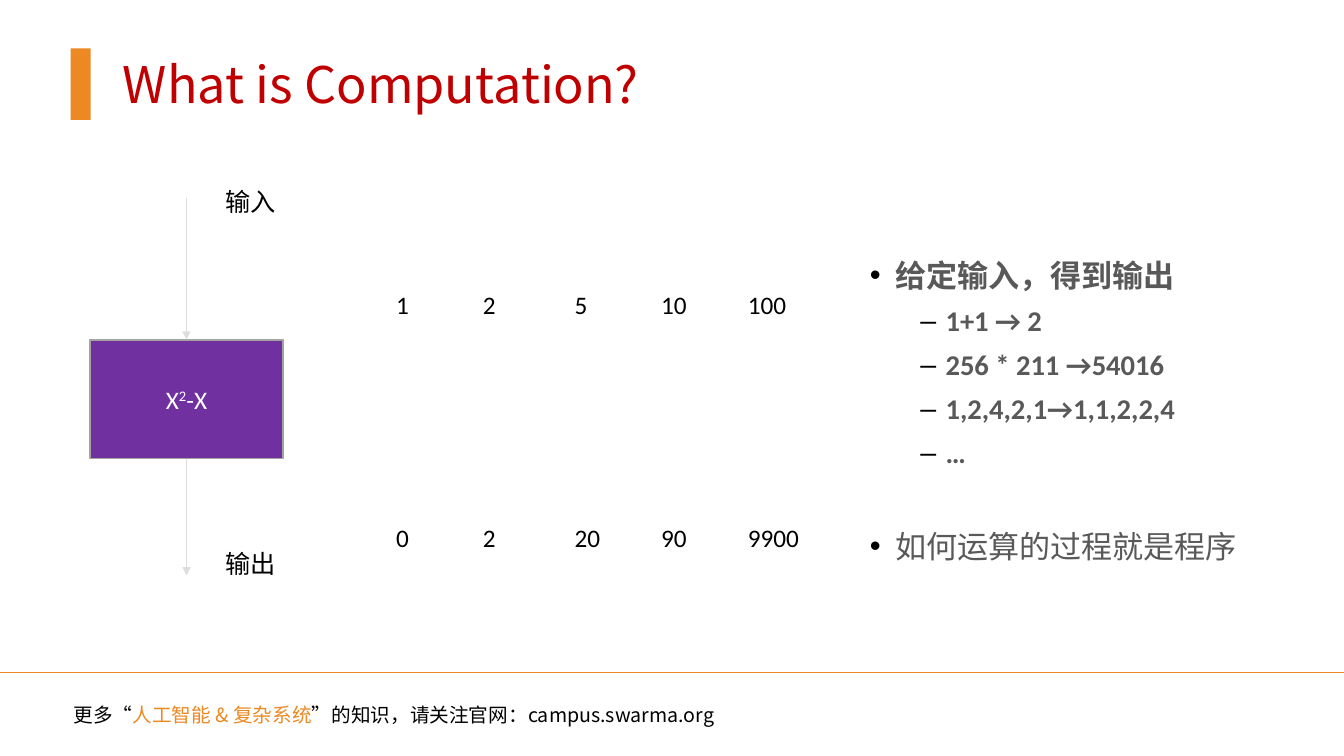
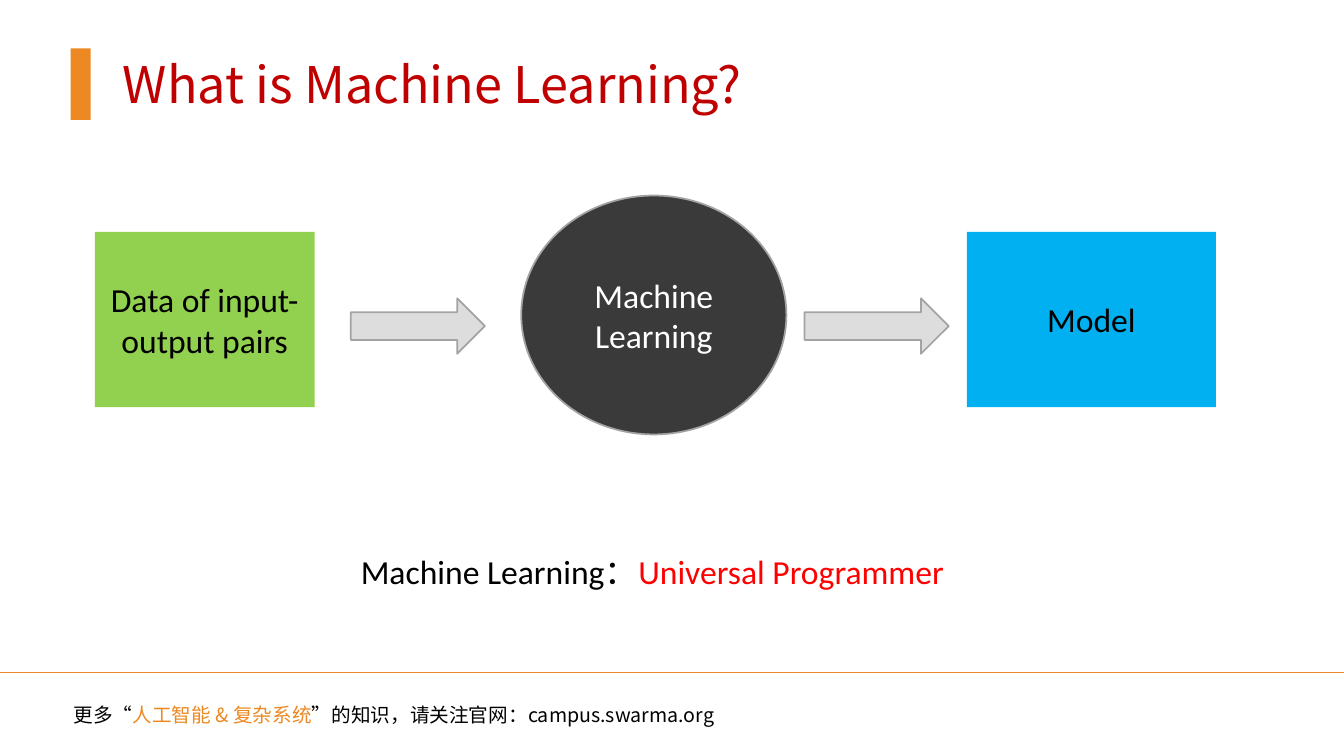
from lxml.etree import SubElement
from pptx import Presentation
from pptx.dml.color import RGBColor
from pptx.enum.shapes import MSO_CONNECTOR, MSO_SHAPE
from pptx.enum.text import MSO_ANCHOR, PP_ALIGN
from pptx.oxml.ns import qn
from pptx.util import Inches, Pt

COLORS = {
    "title": "C00000", "accent": "EC8922", "black": "000000", "white": "FFFFFF",
    "body": "595959", "outline": "A3A3A3", "arrow": "DDDDDD", "program": "7030A0",
    "learner": "3A3A3A", "data": "92D050", "model": "00B0F0", "highlight": "FF0000",
}
BODY_FONT = "Calibri"
CJK_FONT = "Noto Sans CJK SC"
SLIDE_WIDTH, SLIDE_HEIGHT = 13.33, 7.5

FOOTER = [
    ("更多“", "black"),
    ("人工智能 & 复杂系统", "accent"),
    ("”的知识，请关注官网：campus.swarma.org", "black"),
]

COMPUTATION_TITLE = "What is Computation?"
PROGRAM_BOX = (0.89, 3.37, 1.92, 1.18)
FLOW_START, FLOW_END = 1.96, 5.71
FLOW_LABELS = [("输入", 1.8), ("输出", 5.39)]
INPUT_TOP, OUTPUT_TOP = 2.82, 5.13
SAMPLES = [
    (3.83, "1", "0"),
    (4.69, "2", "2"),
    (5.6, "5", "20"),
    (6.46, "10", "90"),
    (7.32, "100", "9900"),
]
POINTS = [
    ("给定输入，得到输出", 0, True, 0),
    ("1+1 → 2", 1, True, 7),
    ("256 * 211 →54016", 1, True, 7),
    ("1,2,4,2,1→1,1,2,2,4", 1, True, 7),
    ("…", 1, True, 7),
    ("如何运算的过程就是程序", 0, False, 41),
]
LEVELS = [("•", 0.25, 22.2), ("–", 0.75, 20.4)]
HANGING = 0.25

LEARNING_TITLE = "What is Machine Learning?"
STAGES = [
    (MSO_SHAPE.OVAL, (5.17, 1.94, 2.63, 2.37), "learner", "outline", "Machine Learning", "white"),
    (MSO_SHAPE.RECTANGLE, (0.94, 2.3, 2.18, 1.74), "data", None, "Data of input-output pairs", "black"),
    (MSO_SHAPE.RECTANGLE, (9.59, 2.3, 2.47, 1.74), "model", None, "Model", "black"),
    (MSO_SHAPE.RIGHT_ARROW, (3.48, 2.96, 1.33, 0.55), "arrow", "outline", "", "black"),
    (MSO_SHAPE.RIGHT_ARROW, (7.98, 2.96, 1.43, 0.55), "arrow", "outline", "", "black"),
]
SUMMARY = [("Machine Learning：", "black"), ("Universal Programmer", "highlight")]


def color(name):
    return RGBColor.from_string(COLORS[name])


def inches(values):
    return [Inches(value) for value in values]


def add_span(para, text, size, shade, font=BODY_FONT, bold=False):
    span = para.add_run()
    span.text = text
    span.font.size = Pt(size)
    span.font.bold = bold
    span.font.name = font
    span.font.color.rgb = color(shade)
    SubElement(span.font._element, qn("a:ea"), typeface=font)
    return span


def add_text(page, bounds, spans, size, font=BODY_FONT):
    box = page.shapes.add_textbox(*inches(bounds))
    box.text_frame.word_wrap = True
    for text, shade in spans:
        add_span(box.text_frame.paragraphs[0], text, size, shade, font)
    return box


def add_block(page, kind, bounds, fill, outline=None):
    block = page.shapes.add_shape(kind, *inches(bounds))
    block.shadow.inherit = False
    block.fill.solid()
    block.fill.fore_color.rgb = color(fill)
    if outline:
        block.line.color.rgb = color(outline)
        block.line.width = Pt(1.25)
    else:
        block.line.fill.background()
    block.text_frame.word_wrap = True
    block.text_frame.vertical_anchor = MSO_ANCHOR.MIDDLE
    block.text_frame.paragraphs[0].alignment = PP_ALIGN.CENTER
    return block


def add_line(page, start, end, shade, arrow=False):
    line = page.shapes.add_connector(MSO_CONNECTOR.STRAIGHT, *inches(start + end))
    line.line.color.rgb = color(shade)
    line.line.width = Pt(1)
    if arrow:
        SubElement(line.line._get_or_add_ln(), qn("a:tailEnd"), type="triangle")
    SubElement(line._element.spPr, qn("a:effectLst"))


def add_page(deck, title):
    page = deck.slides.add_slide(deck.slide_layouts[6])
    add_text(page, (1.12, 0.48, 7.62, 0.71), [(title, "title")], 36, CJK_FONT)
    add_block(page, MSO_SHAPE.RECTANGLE, (0.7, 0.48, 0.2, 0.71), "accent")
    add_line(page, (0, 6.67), (SLIDE_WIDTH, 6.67), "accent")
    add_text(page, (0.63, 6.92, 7.85, 0.34), FOOTER, 14, CJK_FONT)
    return page


def add_points(page, bounds):
    box = page.shapes.add_textbox(*inches(bounds))
    frame = box.text_frame
    frame.word_wrap = True
    for index, (text, level, bold, space) in enumerate(POINTS):
        para = frame.add_paragraph() if index else frame.paragraphs[0]
        bullet, indent, size = LEVELS[level]
        para.level = level
        properties = para._p.get_or_add_pPr()
        properties.set("marL", str(Inches(indent)))
        properties.set("indent", str(-Inches(HANGING)))
        bullet_color = SubElement(properties, qn("a:buClr"))
        SubElement(bullet_color, qn("a:srgbClr"), val=COLORS["black"])
        SubElement(properties, qn("a:buFont"), typeface="Arial")
        SubElement(properties, qn("a:buChar"), char=bullet)
        if space:
            para.space_before = Pt(space)
        add_span(para, text, size, "body", bold=bold)


def build_computation(deck):
    page = add_page(deck, COMPUTATION_TITLE)
    left, top, width, height = PROGRAM_BOX
    center = left + width / 2
    program = add_block(page, MSO_SHAPE.RECTANGLE, PROGRAM_BOX, "program", "outline")
    formula = program.text_frame.paragraphs[0]
    add_span(formula, "X", 18, "white")
    power = add_span(formula, "2", 18, "white")
    power.font._element.set("baseline", "30000")
    add_span(formula, "-X", 18, "white")
    for start, end in [(FLOW_START, top), (top + height, FLOW_END)]:
        add_line(page, (center, start), (center, end), "arrow", arrow=True)
    for label, label_top in FLOW_LABELS:
        add_text(page, (2.14, label_top, 1.34, 0.4), [(label, "black")], 18)
    for sample_left, given, result in SAMPLES:
        for value, value_top in [(given, INPUT_TOP), (result, OUTPUT_TOP)]:
            add_text(page, (sample_left, value_top, 0.89, 0.4), [(value, "black")], 18)
    add_points(page, (8.53, 2.49, 4.07, 3.13))


def build_learning(deck):
    page = add_page(deck, LEARNING_TITLE)
    for kind, bounds, fill, outline, text, shade in STAGES:
        block = add_block(page, kind, bounds, fill, outline)
        if text:
            add_span(block.text_frame.paragraphs[0], text, 24, shade)
    add_text(page, (3.48, 5.42, 6.27, 0.5), SUMMARY, 24)


def main():
    deck = Presentation()
    deck.slide_width = Inches(SLIDE_WIDTH)
    deck.slide_height = Inches(SLIDE_HEIGHT)
    build_computation(deck)
    build_learning(deck)
    deck.save("out.pptx")


if __name__ == "__main__":
    main()
